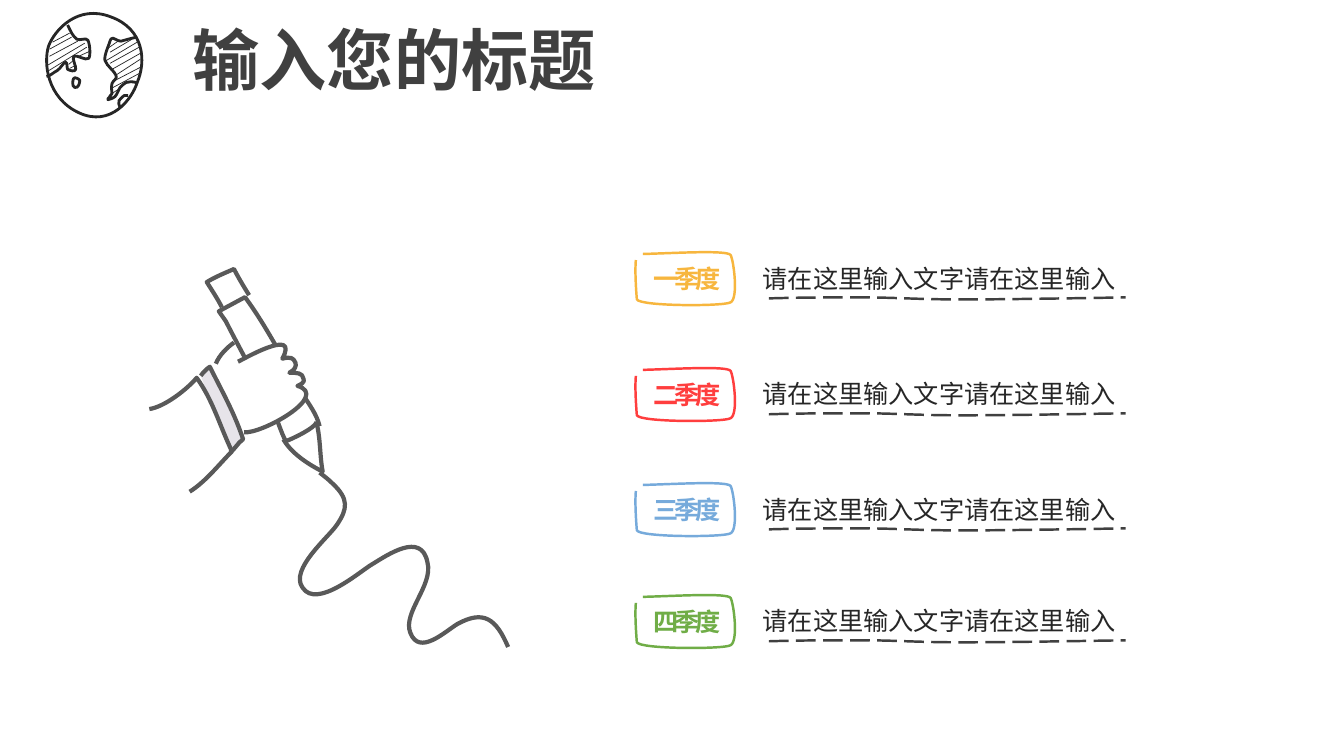
from pptx import Presentation
from pptx.dml.color import RGBColor
from pptx.enum.dml import MSO_LINE as Dash
from pptx.enum.text import MSO_ANCHOR as Anchor, MSO_AUTO_SIZE as Auto, PP_ALIGN as Align
from pptx.oxml.ns import qn
from pptx.util import Cm, Pt
from lxml.etree import SubElement as Sub

UNIT = Cm(0.0254)
INK, GREY, DARK, WHITE = "262626", "595959", "404040", "FFFFFF"
SANS, BODY = "Noto Sans CJK SC", "Noto Sans CJK JP"

GLOBE = [
    [(8, 36), (14, 20, 37, -6, 70, 7), (103, 19, 105, 51, 96, 72),
     (91, 88, 70, 117, 38, 102), (6, 87, 3, 52, 8, 36)],
    [(27, 15), (30, 21, 32, 26, 36, 29), (39, 31, 45, 27, 47, 30),
     (49, 33, 50, 45, 48, 48), (45, 51, 36, 44, 33, 46),
     (31, 48, 36, 57, 35, 59), (34, 62, 29, 60, 27, 59),
     (26, 57, 27, 52, 25, 52), (23, 52, 20, 58, 17, 60),
     (13, 62, 9, 66, 6, 66)],
    [(33, 68), (34, 66, 39, 69, 39, 70), (39, 72, 38, 78, 34, 77),
     (31, 76, 32, 69, 33, 68)],
    [(96, 27), (90, 28, 84, 30, 80, 31), (76, 31, 74, 28, 72, 28),
     (70, 29, 70, 28, 69, 31), (68, 35, 63, 45, 64, 50),
     (66, 56, 74, 61, 75, 65), (77, 68, 72, 70, 71, 73),
     (70, 77, 71, 81, 71, 83), (70, 86, 66, 88, 67, 89),
     (67, 89, 72, 88, 74, 86), (76, 84, 77, 80, 79, 77),
     (81, 75, 83, 73, 85, 72), (88, 71, 91, 71, 95, 72)],
    [(87, 85), (86, 85, 85, 84, 83, 85), (82, 86, 79, 88, 78, 90),
     (77, 92, 78, 94, 79, 97)],
]
HATCH = [
    (74, 70, 99, 57), (64, 51, 96, 32), (12, 32, 29, 23), (76, 64, 99, 49),
    (7, 61, 46, 37), (71, 59, 101, 42), (69, 53, 98, 37), (69, 42, 91, 29),
    (38, 46, 49, 41), (9, 46, 37, 31), (72, 77, 100, 62), (68, 85, 77, 79),
    (67, 38, 77, 31), (9, 39, 31, 27), (7, 55, 44, 33), (28, 54, 33, 50),
    (29, 58, 35, 55),
]
HAND = [
    (None, [(177, 209), (182, 213, 185, 215, 190, 220),
            (206, 235, 205, 245, 194, 261), (186, 273, 147, 305, 160, 323),
            (174, 345, 217, 307, 229, 300), (244, 291, 278, 267, 284, 298),
            (290, 321, 259, 348, 267, 368), (276, 391, 301, 367, 314, 359),
            (340, 345, 352, 354, 364, 382)]),
    (WHITE, [(177, 163), (174, 151, 167, 142, 160, 131),
             (142, 99, 125, 65, 103, 35), (77, 49), (84, 59),
             (93, 77, 120, 127, 129, 144), (135, 155, 138, 168, 144, 179)]),
    (None, [(174, 159), (172, 165, 151, 175, 143, 178)]),
    (None, [(74, 101), (77, 93, 85, 85, 92, 80)]),
    (WHITE, [(96, 99), (97, 99, 158, 63, 140, 96), (148, 94, 151, 95, 153, 100),
             (154, 103, 153, 107, 147, 110), (155, 110, 160, 110, 161, 116),
             (163, 119, 158, 122, 155, 123), (188, 133, 119, 171, 102, 169)]),
    ("E7E4EA", [(59, 113), (61, 110, 65, 106, 68, 104),
                (80, 128, 93, 151, 101, 176), (96, 179, 93, 186, 88, 189)]),
    (None, [(8, 146), (23, 144, 46, 126, 55, 115), (71, 137, 78, 163, 90, 188),
            (77, 201, 64, 218, 48, 228)]),
    (None, [(107, 33), (102, 25, 96, 15, 92, 7), (83, 11, 73, 15, 65, 20),
            (70, 28, 76, 37, 80, 45)]),
    (None, [(141, 176), (149, 190, 166, 201, 180, 208),
            (177, 192, 178, 176, 174, 160)]),
]
FRAME = [(8, 4), (43, 3, 91, 0, 95, 5), (98, 10, 103, 48, 95, 52),
         (88, 56, 5, 56, 2, 49), (1, 37, 0, 20, 1, 10)]
RULE = [(133, 48), (164, 47, 195, 47, 226, 47), (258, 47, 280, 49, 324, 49),
        (367, 49, 427, 48, 487, 47)]
ROWS = [(6.3, "一季度", "F7B63E"), (9.22, "二季度", "FF3E3E"),
        (12.12, "三季度", "76AADB"), (14.94, "四季度", "70AD47")]


def tint(code):
    return RGBColor.from_string(code)


def place(left, top, part):
    return [(left + x * UNIT, top + y * UNIT) for x, y in zip(part[::2], part[1::2])]


def bend(shape, parts):
    lines = iter(list(shape._element.spPr.iter(qn("a:lnTo"))))
    for part in parts:
        group = [next(lines) for _ in part[::2]]
        if len(group) == 3:
            curve = group[0].makeelement(qn("a:cubicBezTo"))
            group[0].addprevious(curve)
            for line in group:
                curve.append(line[0])
                line.getparent().remove(line)


def style(shape, color, width, fill=None):
    shape.shadow.inherit = False
    if fill:
        shape.fill.solid()
        shape.fill.fore_color.rgb = tint(fill)
    else:
        shape.fill.background()
    shape.line.color.rgb = tint(color)
    shape.line.width = Pt(width)


def draw(shapes, left, top, parts, color, width, fill=None):
    dots = [dot for part in parts for dot in place(left, top, part)]
    pen = shapes.build_freeform(*dots[0])
    pen.add_line_segments(dots[1:], close=dots[0] == dots[-1])
    shape = pen.convert_to_shape()
    bend(shape, parts[1:])
    style(shape, color, width, fill)
    return shape


def hatch(shapes, left, top):
    pairs = [place(left, top, part) for part in HATCH]
    pen = shapes.build_freeform(*pairs[0][0])
    pen.add_line_segments(pairs[0][1:], close=False)
    for start, end in pairs[1:]:
        pen.move_to(*start)
        pen.add_line_segments([end], close=False)
    style(pen.convert_to_shape(), INK, 0.5)


def write(shape, text, size, color, face, align, bold=False, gap=0):
    frame = shape.text_frame
    frame.text = text
    frame.vertical_anchor = Anchor.MIDDLE
    para = frame.paragraphs[0]
    para.alignment = align
    font = para.font
    font.size, font.bold, font.name = Pt(size), bold, face
    font.color.rgb = tint(color)
    props = para._p.get_or_add_pPr().get_or_add_defRPr()
    Sub(props, qn("a:ea")).set("typeface", face)
    if gap:
        props.set("spc", str(gap * 100))
    return frame


def head(slide, left, top, width, height):
    title = slide.shapes.title
    title.left, title.top, title.width, title.height = left, top, width, height
    frame = write(title, "输入您的标题", 48, DARK, SANS, Align.LEFT, True)
    frame.auto_size = Auto.NONE
    frame.word_wrap = False


def globe(slide, left, top):
    shapes = slide.shapes.add_group_shape().shapes
    for parts in GLOBE:
        draw(shapes, left, top, parts, INK, 2)
    hatch(shapes, left, top)


def hand(slide, left, top):
    shapes = slide.shapes.add_group_shape().shapes
    for fill, parts in HAND:
        draw(shapes, left, top, parts, GREY, 3, fill)


def row(slide, left, top, name, color):
    shapes = slide.shapes
    rule = draw(shapes, left, top, RULE, DARK, 1.75)
    rule.line.dash_style = Dash.LONG_DASH
    tag = draw(shapes, left, top, FRAME, color, 1.75, WHITE)
    write(tag, name, 18, color, BODY, Align.CENTER, True, -3)
    note = shapes.add_textbox(left + Cm(2.97), top, Cm(12.75), Cm(1.22))
    frame = write(note, "请在这里输入文字请在这里输入", 18, INK, BODY, Align.JUSTIFY)
    frame.word_wrap = True
    frame.paragraphs[0].line_spacing = 1.25


def main():
    deck = Presentation()
    deck.slide_width, deck.slide_height = Cm(33.87), Cm(19.05)
    slide = deck.slides.add_slide(deck.slide_layouts[5])
    globe(slide, Cm(1.02), Cm(0.25))
    head(slide, Cm(4.6), Cm(0.33), Cm(10.82), Cm(2.31))
    hand(slide, Cm(3.56), Cm(6.6))
    for top, name, color in ROWS:
        row(slide, Cm(16), Cm(top), name, color)
    deck.save("out.pptx")


if __name__ == "__main__":
    main()
